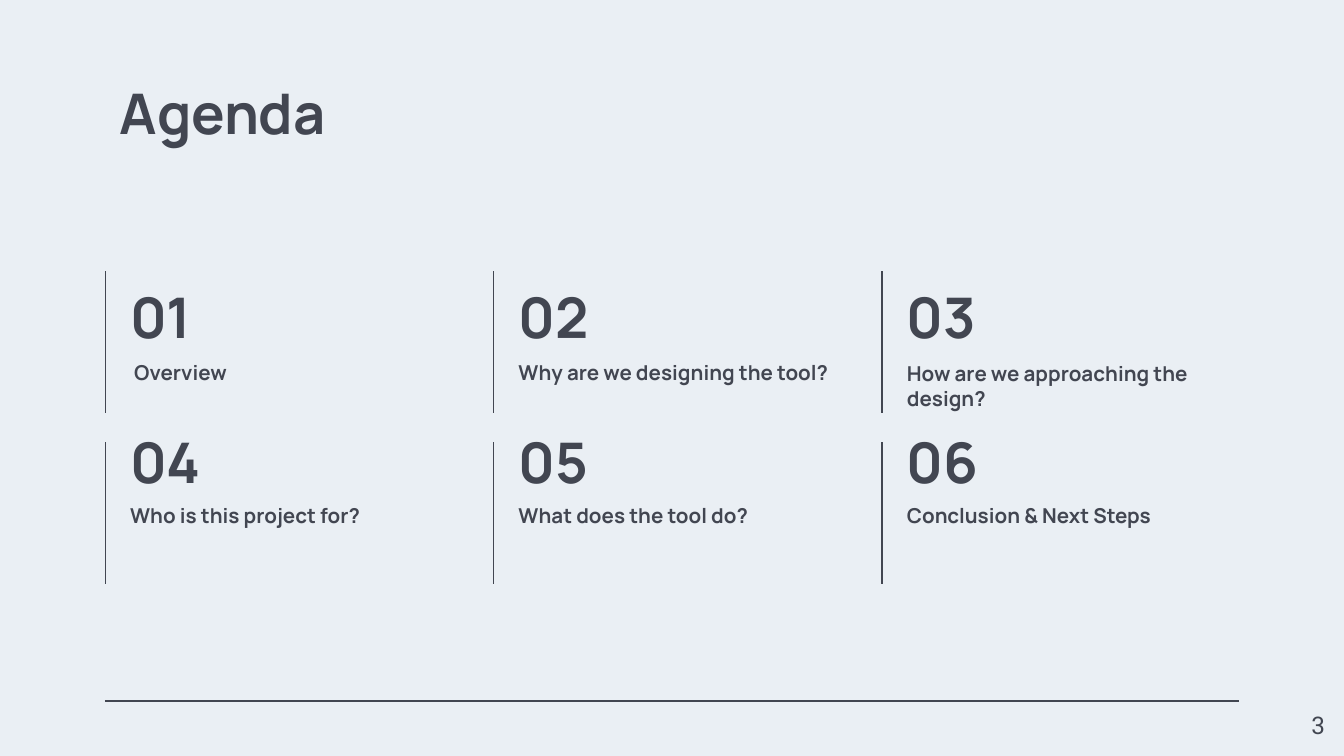
"""Build the agenda slide: six numbered topics in a three-by-two grid."""
import dataclasses

import pptx
import pptx.dml.color
import pptx.enum.shapes
import pptx.enum.text
import pptx.oxml.ns
import pptx.util
from lxml import etree

Cm = pptx.util.Cm
ANCHOR = pptx.enum.text.MSO_ANCHOR
ALIGN = pptx.enum.text.PP_ALIGN


@dataclasses.dataclass(frozen=True)
class Theme:
    """Colours, fonts and sizes in points."""
    background: str = "EAEFF4"
    ink: str = "424651"
    heading_font: str = "Manrope"
    page_font: str = "Roboto"
    heading_size: int = 30
    topic_size: int = 11
    page_size: int = 13
    rule_width: float = 0.75


THEME = Theme()
TOPICS = [
    " Overview",
    "Why are we designing the tool?",
    "How are we approaching the design?",
    "Who is this project for?",
    "What does the tool do?",
    "Conclusion & Next Steps",
]
COLUMNS = 3
COLUMN_LEFT = 2.21
COLUMN_PITCH = 7.34
RULE_OFFSET = 0.22
RULE_LENGTH = 2.67
ROWS = [
    {"number": 5.26, "topic": 6.58, "rule": 5.13},
    {"number": 8.00, "topic": 9.27, "rule": 8.36},
]


def ink_color(value):
    """Return the colour object for a hex value."""
    return pptx.dml.color.RGBColor.from_string(value)


def add_label(slide, words, place, size, font=THEME.heading_font, bold=True,
              anchor=ANCHOR.TOP, align=ALIGN.LEFT):
    """Add one line of text in a box placed in centimetres."""
    label = slide.shapes.add_textbox(*map(Cm, place))
    frame = label.text_frame
    frame.word_wrap = True
    frame.vertical_anchor = anchor
    frame.margin_left = frame.margin_right = Cm(0.25)
    frame.margin_top = frame.margin_bottom = Cm(0.25)
    paragraph = frame.paragraphs[0]
    paragraph.alignment = align
    run = paragraph.add_run()
    run.text = words
    run.font.name = font
    run.font.size = pptx.util.Pt(size)
    run.font.bold = bold
    run.font.color.rgb = ink_color(THEME.ink)


def add_rule(slide, start, end):
    """Add a thin straight line between two points in centimetres."""
    rule = slide.shapes.add_connector(
        pptx.enum.shapes.MSO_CONNECTOR.STRAIGHT, *map(Cm, start + end))
    rule.line.color.rgb = ink_color(THEME.ink)
    rule.line.width = pptx.util.Pt(THEME.rule_width)
    etree.SubElement(rule._element.spPr, pptx.oxml.ns.qn("a:effectLst"))


def add_agenda_item(slide, index, topic):
    """Add a numbered topic with the rule at its left."""
    row, column = divmod(index, COLUMNS)
    tops = ROWS[row]
    left = COLUMN_LEFT + column * COLUMN_PITCH
    rule_left = left - RULE_OFFSET
    add_label(slide, f"{index + 1:02}", (left, tops["number"], 2.03, 1.6),
              THEME.heading_size, anchor=ANCHOR.BOTTOM)
    add_label(slide, topic, (left, tops["topic"], 6.53, 1.22), THEME.topic_size)
    add_rule(slide, (rule_left, tops["rule"] + RULE_LENGTH), (rule_left, tops["rule"]))


def main():
    """Build and save the slide."""
    deck = pptx.Presentation()
    deck.slide_width, deck.slide_height = Cm(25.4), Cm(14.29)
    slide = deck.slides.add_slide(deck.slide_layouts[6])
    slide.background.fill.solid()
    slide.background.fill.fore_color.rgb = ink_color(THEME.background)

    add_rule(slide, (1.98, 13.25), (23.42, 13.25))
    add_label(slide, "Agenda", (2.01, 1.24, 21.41, 1.6), THEME.heading_size)
    for index, topic in enumerate(TOPICS):
        add_agenda_item(slide, index, topic)
    add_label(slide, "3", (23.77, 13.18, 1.52, 1.09), THEME.page_size,
              font=THEME.page_font, bold=False, align=ALIGN.RIGHT)
    deck.save("out.pptx")


if __name__ == "__main__":
    main()
